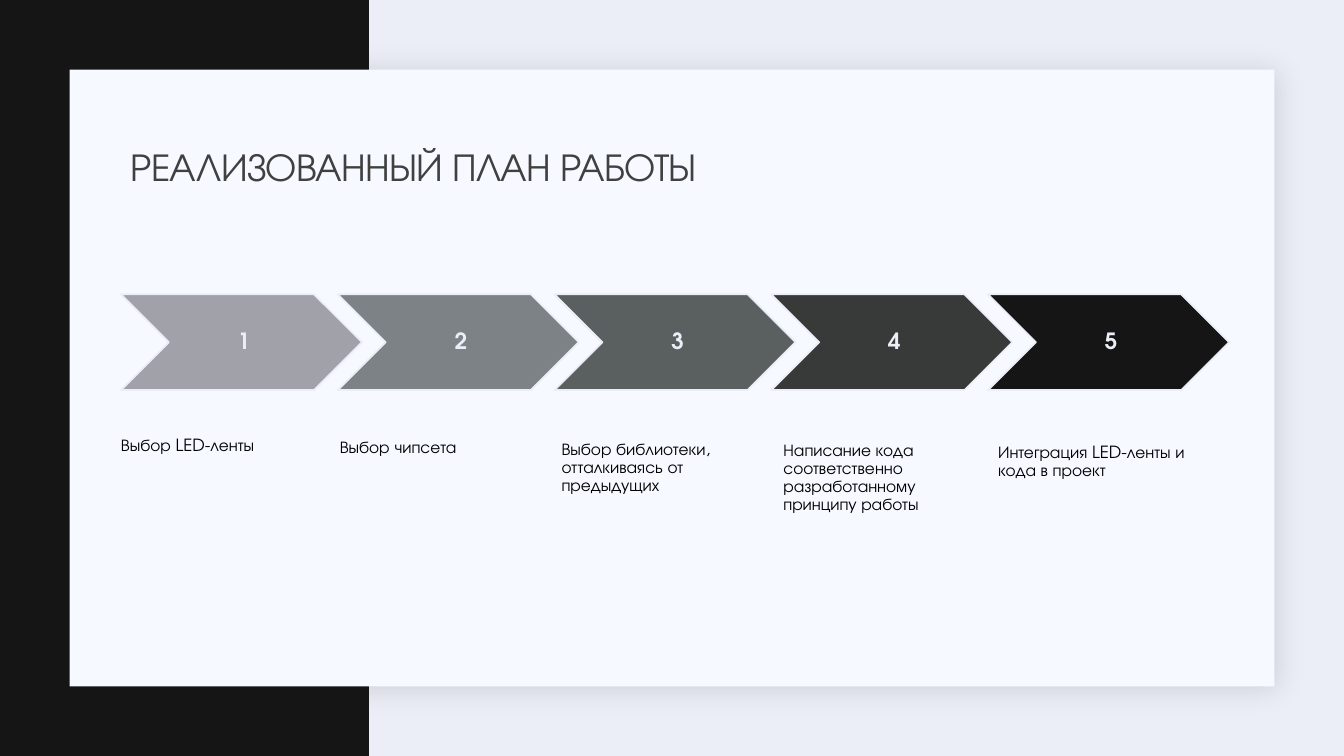
from dataclasses import dataclass

import pptx
import pptx.dml.color
import pptx.enum.shapes
import pptx.enum.text
import pptx.oxml
import pptx.oxml.ns
import pptx.util
from pptx.enum.shapes import MSO_SHAPE
from pptx.enum.text import MSO_ANCHOR, PP_ALIGN

# Slide size and step grid, in inches
WIDTH, HEIGHT = 13.33, 7.5
BAND_WIDTH = 3.66
MARGIN = 0.69
GRID_LEFT, COLUMN = 1.2, 2.15
CHEVRON_TOP, CHEVRON_WIDTH, CHEVRON_HEIGHT = 2.92, 2.39, 0.95
CAPTION_WIDTH, CAPTION_HEIGHT = 1.91, 1.28
FONT = "TeX Gyre Adventor"

COLORS = {
    "background": "ECEEF7",
    "band": "141514",
    "panel": "F6F9FF",
    "shadow": "1F2125",
    "title": "404040",
    "caption": "000000",
    "step 1": "A1A2A9",
    "step 2": "7C8286",
    "step 3": "5A6060",
    "step 4": "373A39",
    "step 5": "141514",
}


@dataclass(frozen=True)
class Box:
    left: float
    top: float
    width: float
    height: float

    def lengths(self) -> list:
        return [pptx.util.Inches(n) for n in (self.left, self.top, self.width, self.height)]


@dataclass(frozen=True)
class Step:
    caption: str
    shift: float  # caption offset from its column
    top: float


@dataclass(frozen=True)
class TextStyle:
    size: float
    color: str
    bold: bool = False
    align: PP_ALIGN = PP_ALIGN.LEFT
    anchor: MSO_ANCHOR = MSO_ANCHOR.TOP
    insets: tuple = (0.1, 0.05, 0.1, 0.05)


TITLE = TextStyle(28, "title", anchor=MSO_ANCHOR.MIDDLE)
NUMBER = TextStyle(16, "background", True, PP_ALIGN.CENTER, MSO_ANCHOR.MIDDLE,
                   (0.07, 0.02, 0.02, 0.02))
CAPTION = TextStyle(12, "caption", insets=(0, 0.47, 0, 0))

STEPS = [
    Step("Выбор LED-ленты", 0, 4.01),
    Step("Выбор чипсета", 0.02, 4.03),
    Step("Выбор библиотеки, отталкиваясь от предыдущих", 0.07, 3.9),
    Step("Написание кода соответственно разработанному принципу работы", 0.12, 3.91),
    Step("Интеграция LED-ленты и кода в проект", 0.1, 3.99),
]


def color(name: str) -> pptx.dml.color.RGBColor:
    return pptx.dml.color.RGBColor.from_string(COLORS[name])


def apply(target, values: dict) -> None:
    for name, value in values.items():
        setattr(target, name, value)


def write(shape, text: str, style: TextStyle):
    frame = shape.text_frame
    sides = ("margin_left", "margin_top", "margin_right", "margin_bottom")
    apply(frame, {"word_wrap": True, "vertical_anchor": style.anchor,
                  **{side: pptx.util.Inches(n) for side, n in zip(sides, style.insets)}})
    paragraph = frame.paragraphs[0]
    apply(paragraph, {"alignment": style.align, "line_spacing": 0.9})
    run = paragraph.add_run()
    run.text = text
    apply(run.font, {"name": FONT, "size": pptx.util.Pt(style.size), "bold": style.bold})
    run.font.color.rgb = color(style.color)
    return run


def add_text(slide, box: Box, text: str, style: TextStyle):
    return write(slide.shapes.add_textbox(*box.lengths()), text, style)


def add_filled(slide, kind: MSO_SHAPE, box: Box, fill: str, line: str = ""):
    shape = slide.shapes.add_shape(kind, *box.lengths())
    shape.shadow.inherit = False
    shape.fill.solid()
    shape.fill.fore_color.rgb = color(fill)
    if line:
        shape.line.color.rgb = color(line)
        shape.line.width = pptx.util.Pt(1.25)
    else:
        shape.line.fill.background()
    return shape


def add_soft_shadow(shape) -> None:
    effects = shape.fill._xPr.find(pptx.oxml.ns.qn("a:effectLst"))
    effects.append(pptx.oxml.parse_xml(
        f'<a:outerShdw {pptx.oxml.ns.nsdecls("a")} blurRad="{pptx.util.Pt(20)}" '
        f'dist="{pptx.util.Pt(2)}" dir="{45 * 60000}" algn="ctr" rotWithShape="0">'
        f'<a:srgbClr val="{COLORS["shadow"]}"><a:alpha val="15000"/></a:srgbClr>'
        '</a:outerShdw>'))


presentation = pptx.Presentation()
apply(presentation, {"slide_width": pptx.util.Inches(WIDTH),
                     "slide_height": pptx.util.Inches(HEIGHT)})
slide = presentation.slides.add_slide(presentation.slide_layouts[6])

# Background, dark band and panel
slide.background.fill.solid()
slide.background.fill.fore_color.rgb = color("background")
add_filled(slide, MSO_SHAPE.RECTANGLE, Box(0, 0, BAND_WIDTH, HEIGHT), "band")
panel = Box(MARGIN, MARGIN, WIDTH - 2 * MARGIN, HEIGHT - 2 * MARGIN)
add_soft_shadow(add_filled(slide, MSO_SHAPE.RECTANGLE, panel, "panel"))

# Title, slightly tightened
title = add_text(slide, Box(GRID_LEFT, 1.35, 11, 0.64), "РЕАЛИЗОВАННЫЙ ПЛАН РАБОТЫ", TITLE)
title.font._element.set("spc", "-50")

# Numbered chevrons with captions
for index, step in enumerate(STEPS):
    left = GRID_LEFT + index * COLUMN
    number = str(index + 1)
    chevron = add_filled(slide, MSO_SHAPE.CHEVRON,
                         Box(left, CHEVRON_TOP, CHEVRON_WIDTH, CHEVRON_HEIGHT),
                         f"step {number}", "background")
    write(chevron, number, NUMBER)
    add_text(slide, Box(left + step.shift, step.top, CAPTION_WIDTH, CAPTION_HEIGHT),
             step.caption, CAPTION)

presentation.save("out.pptx")
